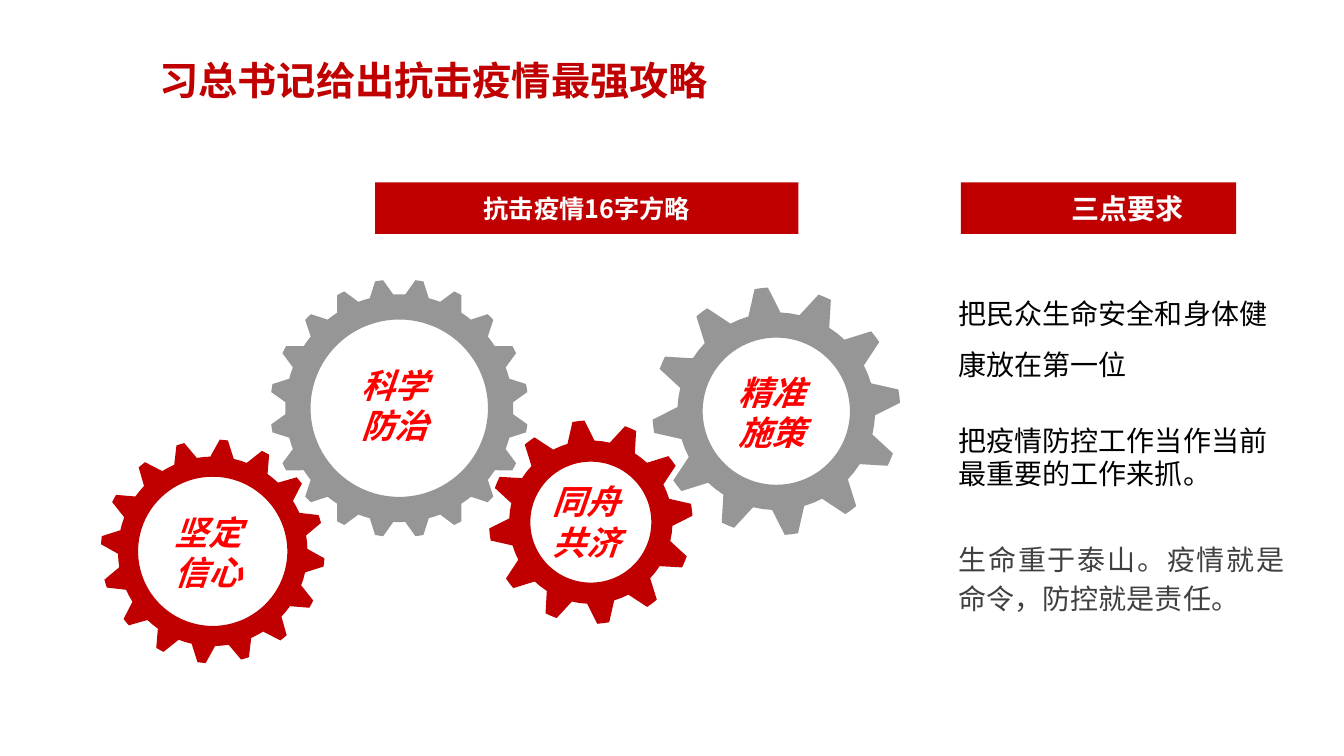
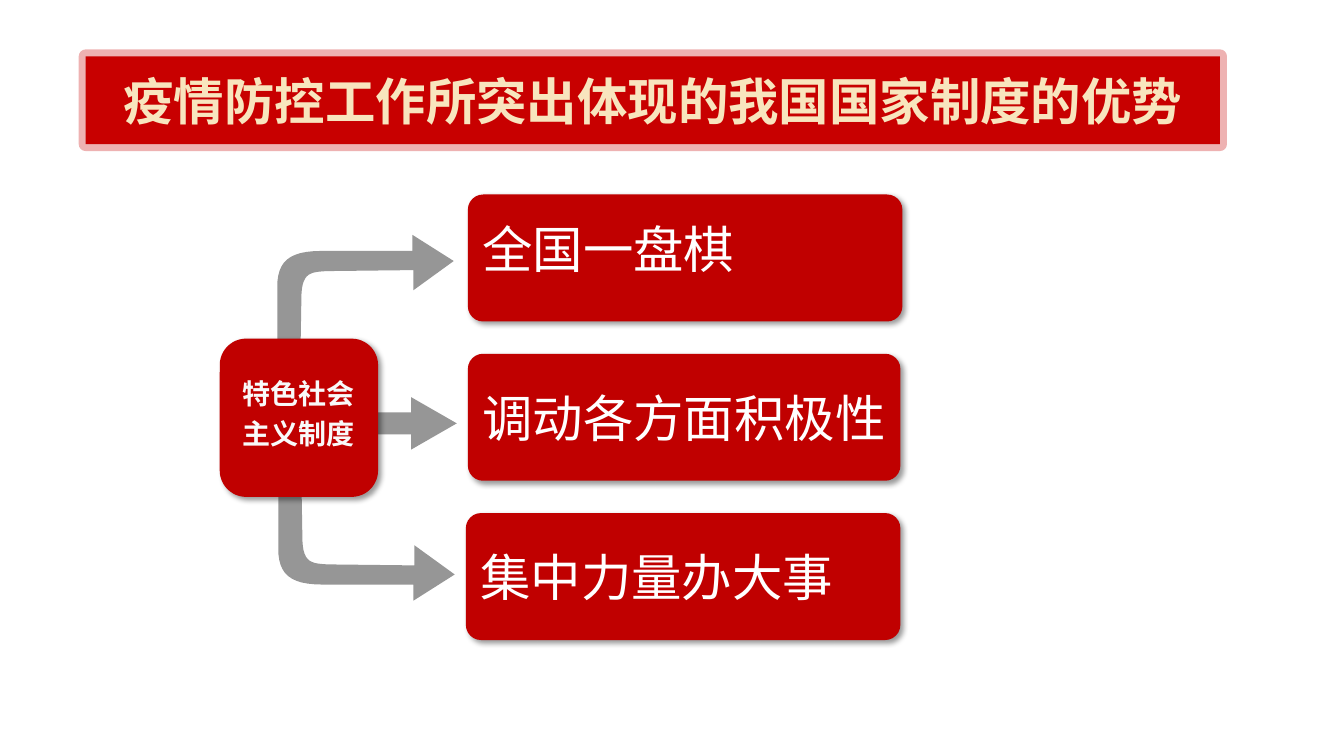
from dataclasses import dataclass
from math import cos, radians, sin

from lxml.etree import SubElement
from pptx import Presentation
from pptx.dml.color import RGBColor
from pptx.enum.shapes import MSO_SHAPE
from pptx.enum.text import MSO_ANCHOR, PP_ALIGN
from pptx.oxml.ns import qn
from pptx.util import Inches, Pt

RED = RGBColor(0xC0, 0x00, 0x00)
BAND_RED = RGBColor(0xC8, 0x00, 0x00)
LABEL_RED = RGBColor(0xFF, 0x00, 0x00)
GREY = RGBColor(0x96, 0x96, 0x96)
DARK = RGBColor(0x40, 0x40, 0x40)
BLACK = RGBColor(0x00, 0x00, 0x00)
WHITE = RGBColor(0xFF, 0xFF, 0xFF)
OFF_WHITE = RGBColor(0xF9, 0xF9, 0xF9)
CREAM = RGBColor(0xF8, 0xE5, 0xBE)

CHINESE_FONT = "Noto Sans CJK SC"
BODY = {"name": CHINESE_FONT, "size": Pt(20)}
TITLE = {"name": CHINESE_FONT, "size": Pt(28), "bold": True}
BAND_TITLE = {**TITLE, "size": Pt(36)}
HEADING = {**BODY, "bold": True}
GEAR_LABEL = {**HEADING, "size": Pt(24), "italic": True}
CARD = {**BODY, "size": Pt(36)}

INSETS = (0.1, 0.05, 0.1, 0.05)


@dataclass
class Gear:
    lines: tuple
    center_x: float
    center_y: float
    radius: float
    root: float
    hole: float
    teeth: int
    first_angle: float
    tip_half: float
    base_half: float
    label_top: float
    color: RGBColor


GEARS = (
    Gear(("坚定", "信心"), 2.11, 5.47, 1.11, 0.94, 0.74, 16, 5.7, 2.1, 7.15, 5.02, RED),
    Gear(("科学", "防治"), 3.96, 4.05, 1.28, 1.13, 0.88, 20, 9, 1.8, 6, 3.56, GREY),
    Gear(("同舟", "共济"), 5.86, 5.18, 1.01, 0.81, 0.6, 12, -7, 3.4, 9.6, 4.72, RED),
    Gear(("精准", "施策"), 7.7, 4.08, 1.23, 0.98, 0.73, 12, -7, 3.1, 9.4, 3.63, GREY),
)


def write_text(shape, lines, style, color, align=PP_ALIGN.LEFT, anchor=MSO_ANCHOR.TOP,
               spacing=None, insets=INSETS, wrap=True):
    frame = shape.text_frame
    margins = zip(("left", "top", "right", "bottom"), insets)
    settings = {f"margin_{side}": Inches(inset) for side, inset in margins}
    settings.update(word_wrap=wrap, vertical_anchor=anchor)
    for name, value in settings.items():
        setattr(frame, name, value)
    for index, line in enumerate(lines):
        para = frame.add_paragraph() if index else frame.paragraphs[0]
        para.alignment = align
        if spacing:
            para.line_spacing = spacing
        span = para.add_run()
        span.text = line
        for name, value in style.items():
            setattr(span.font, name, value)
        span.font.color.rgb = color
        east_asian = SubElement(span.font._element, qn("a:ea"))
        east_asian.set("typeface", CHINESE_FONT)


def add_text(page, bounds, lines, style, color, **layout):
    box = page.shapes.add_textbox(*map(Inches, bounds))
    write_text(box, lines, style, color, **layout)


def paint(shape, color):
    shape.shadow.inherit = False
    shape.fill.solid()
    shape.fill.fore_color.rgb = color
    shape.line.fill.background()


def add_filled(page, kind, bounds, color, adjustments=()):
    shape = page.shapes.add_shape(kind, *map(Inches, bounds))
    paint(shape, color)
    for index, value in enumerate(adjustments):
        shape.adjustments[index] = value
    return shape


def add_alpha(parent, percent):
    SubElement(parent, qn("a:alpha")).set("val", str(percent * 1000))


def add_shadow(shape):
    effects = shape._element.spPr.find(qn("a:effectLst"))
    shadow = SubElement(effects, qn("a:outerShdw"))
    values = {"blurRad": Pt(4), "dist": Pt(3), "dir": 45 * 60000, "algn": "tl", "rotWithShape": 0}
    for name, value in values.items():
        shadow.set(name, str(value))
    tint = SubElement(shadow, qn("a:srgbClr"))
    tint.set("val", str(BLACK))
    add_alpha(tint, 40)


def add_outline(page, contours, color):
    contours = [[(Inches(x), Inches(y)) for x, y in contour] for contour in contours]
    builder = page.shapes.build_freeform(*contours[0][0])
    for index, contour in enumerate(contours):
        if index:
            builder.move_to(*contour[0])
        builder.add_line_segments(contour[1:], close=True)
    paint(builder.convert_to_shape(), color)


def add_gear(page, gear):
    def polar(radius, angle):
        turn = radians(angle)
        return gear.center_x + radius * sin(turn), gear.center_y - radius * cos(turn)

    pitch = 360 / gear.teeth
    profile = (
        (gear.root, -gear.base_half),
        (gear.radius, -gear.tip_half),
        (gear.radius, 0),
        (gear.radius, gear.tip_half),
        (gear.root, gear.base_half),
        (gear.root, pitch / 2),
    )
    rim = [
        polar(radius, gear.first_angle + tooth * pitch + offset)
        for tooth in range(gear.teeth)
        for radius, offset in profile
    ]
    hole = [polar(gear.hole, angle) for angle in range(360, 0, -4)]
    add_outline(page, (rim, hole), gear.color)
    label = (gear.center_x - 0.66, gear.label_top, 1.23, 0.91)
    add_text(page, label, gear.lines, GEAR_LABEL, LABEL_RED,
             align=PP_ALIGN.CENTER, anchor=MSO_ANCHOR.MIDDLE)


def curve(start, first, second, end, steps=12):
    points = []
    for step in range(1, steps + 1):
        t = step / steps
        weights = ((1 - t) ** 3, 3 * t * (1 - t) ** 2, 3 * t * t * (1 - t), t ** 3)
        controls = (start, first, second, end)
        points.append(tuple(sum(w * p[axis] for w, p in zip(weights, controls)) for axis in (0, 1)))
    return points


def add_bent_arrow(page, left, edge, direction):
    outline = [
        (0.22, 1.81), (0.24, 0.59),
        *curve((0.24, 0.59), (0.25, 0.37), (0.34, 0.37), (0.49, 0.36)),
        (1.35, 0.35), (1.35, 0.55), (1.75, 0.26), (1.34, 0), (1.34, 0.16), (0.44, 0.16),
        *curve((0.44, 0.16), (0.11, 0.16), (0, 0.27), (0, 0.52)),
        (0, 1.83),
        *curve((0, 1.83), (0.03, 2.05), (0.17, 2.03), (0.22, 1.81)),
    ]
    add_outline(page, [[(left + x, edge + direction * y) for x, y in outline]], GREY)


def add_card(page, bounds, line, style, color, adjustments=(), **layout):
    card = add_filled(page, MSO_SHAPE.ROUNDED_RECTANGLE, bounds, RED, adjustments)
    add_shadow(card)
    write_text(card, [line], style, color, anchor=MSO_ANCHOR.MIDDLE, **layout)


def build_strategy(page):
    add_text(page, (0.84, 0.51, 6.92, 0.57), ["习总书记给出抗击疫情最强攻略"],
             TITLE, RED, align=PP_ALIGN.CENTER)
    headings = (
        (3.72, 4.2, "抗击疫情16字方略", {**HEADING, "size": Pt(18)}, PP_ALIGN.CENTER, INSETS),
        (9.53, 2.73, "三点要求", HEADING, PP_ALIGN.LEFT, (1.1, 0.05, 0.1, 0.05)),
    )
    for left, width, line, style, align, insets in headings:
        bar = add_filled(page, MSO_SHAPE.RECTANGLE, (left, 1.81, width, 0.51), RED)
        write_text(bar, [line], style, WHITE, align=align, anchor=MSO_ANCHOR.MIDDLE, insets=insets)
    for gear in GEARS:
        add_gear(page, gear)
    demands = (
        (2.73, 1.06, "把民众生命安全和身体健康放在第一位", BODY, BLACK, {"spacing": 1.5}),
        (4.15, 0.77, "把疫情防控工作当作当前最重要的工作来抓。", BODY, BLACK, {}),
        (5.29, 0.84, "生命重于泰山。疫情就是命令，防控就是责任。", {**BODY, "name": "Arial"}, DARK,
         {"align": PP_ALIGN.JUSTIFY, "spacing": 1.14}),
    )
    for top, height, line, style, color, layout in demands:
        add_text(page, (9.41, top, 3.43, height), [line], style, color, **layout)


def build_advantages(page):
    add_bent_arrow(page, 2.76, 5.96, -1)
    add_filled(page, MSO_SHAPE.RIGHT_ARROW, (2.44, 3.94, 2.09, 0.52), GREY, (0.42, 0.87))
    add_bent_arrow(page, 2.75, 2.33, 1)
    cards = (
        (4.64, 4.31, "全国一盘棋", {"insets": (0.1, 0.05, 0.1, 0.24)}),
        (4.64, 4.29, "调动各方面积极性", {"align": PP_ALIGN.JUSTIFY}),
        (4.62, 4.31, "集中力量办大事", {"align": PP_ALIGN.JUSTIFY}),
    )
    for index, (left, width, line, layout) in enumerate(cards):
        bounds = (left, 1.93 + 1.58 * index, width, 1.26)
        add_card(page, bounds, line, CARD, WHITE, (0.12,), **layout)
    add_card(page, (2.18, 3.36, 1.57, 1.57), "特色社会主义制度", HEADING, OFF_WHITE,
             align=PP_ALIGN.CENTER, spacing=1.2, insets=(0.14, 0.05, 0.14, 0.2))
    band = add_filled(page, MSO_SHAPE.RECTANGLE, (0.85, 0.56, 11.25, 0.87), BAND_RED)
    band.line.color.rgb = BAND_RED
    band.line.width = Pt(10)
    add_alpha(band.line._ln.find(".//" + qn("a:srgbClr")), 30)
    write_text(band, ["疫情防控工作所突出体现的我国国家制度的优势"], BAND_TITLE, CREAM,
               align=PP_ALIGN.CENTER, anchor=MSO_ANCHOR.MIDDLE,
               insets=(0.13, 0.07, 0.13, 0.07), wrap=False)


def main():
    deck = Presentation()
    deck.slide_width = Inches(13.33)
    deck.slide_height = Inches(7.5)
    for build in (build_strategy, build_advantages):
        build(deck.slides.add_slide(deck.slide_layouts[6]))
    deck.save("out.pptx")


if __name__ == "__main__":
    main()
